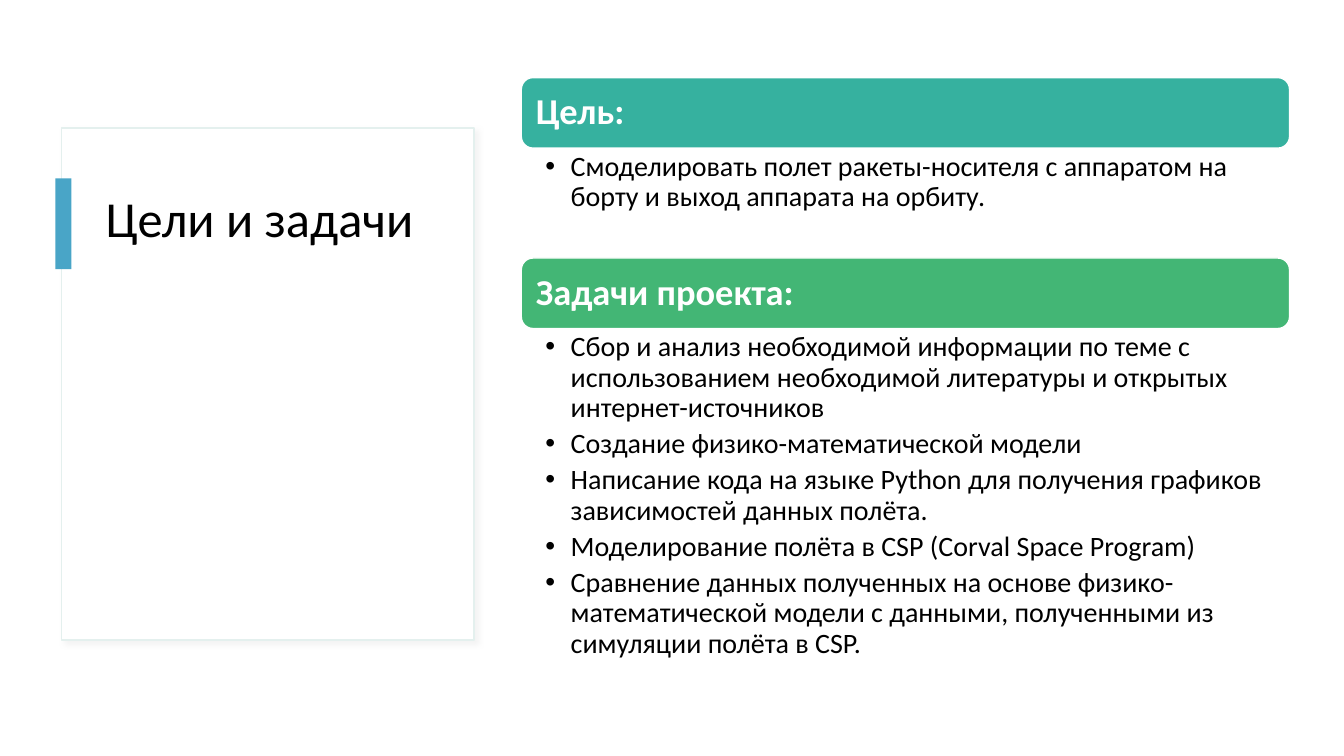
from dataclasses import dataclass

from lxml.etree import SubElement
from pptx import Presentation
from pptx.dml.color import RGBColor
from pptx.enum.shapes import MSO_SHAPE as SHAPE
from pptx.enum.text import MSO_ANCHOR as ANCHOR, PP_ALIGN as ALIGN
from pptx.oxml.ns import qn
from pptx.shapes.autoshape import Shape
from pptx.slide import Slide
from pptx.text.text import TextFrame
from pptx.util import Inches, Pt

FONT = "Calibri"
COLORS = {
    "white": "FFFFFF",
    "black": "000000",
    "card_line": "E4F0EE",
    "shadow": "D9D9D9",
    "accent": "49A5C7",
    "goal": "36B19F",
    "tasks": "43B675",
}
SECTION_LEFT, SECTION_WIDTH, HEADER_HEIGHT = 5.17, 7.62, 0.7


@dataclass
class Section:
    header: str
    color: str
    top: float
    body_height: float
    items: list[str]


SECTIONS = [
    Section("Цель:", "goal", 0.77, 1.09, [
        "Смоделировать полет ракеты-носителя с аппаратом на борту и выход аппарата на орбиту.",
    ]),
    Section("Задачи проекта:", "tasks", 2.56, 3.47, [
        "Сбор и анализ необходимой информации по теме c использованием необходимой "
        "литературы и открытых интернет-источников",
        "Создание физико-математической модели",
        "Написание кода на языке Python для получения графиков зависимостей данных полёта.",
        "Моделирование полёта в CSP (Corval Space Program)",
        "Сравнение данных полученных на основе физико-математической модели с данными, "
        "полученными из симуляции полёта в CSP.",
    ]),
]


def rgb(name: str) -> RGBColor:
    return RGBColor.from_string(COLORS[name])


def add_box(s: Slide, kind: SHAPE, left: float, top: float, width: float, height: float,
            fill: str, line: str | None = None) -> Shape:
    sp = s.shapes.add_shape(kind, Inches(left), Inches(top), Inches(width), Inches(height))
    sp.shadow.inherit = False
    sp.fill.solid()
    sp.fill.fore_color.rgb = rgb(fill)
    if line:
        sp.line.color.rgb = rgb(line)
        sp.line.width = Pt(1)
    else:
        sp.line.fill.background()
    return sp


def add_soft_shadow(sp: Shape) -> None:
    effects = sp._element.spPr.find(qn("a:effectLst"))
    shadow = SubElement(effects, qn("a:outerShdw"), blurRad=str(Pt(4)), dist=str(Pt(3)),
                        dir=str(45 * 60000), algn="tl", rotWithShape="0")
    color = SubElement(shadow, qn("a:srgbClr"), val=COLORS["shadow"])
    SubElement(color, qn("a:alpha"), val="30000")


def add_text_box(s: Slide, left: float, top: float, width: float, height: float) -> TextFrame:
    tb = s.shapes.add_textbox(Inches(left), Inches(top), Inches(width), Inches(height))
    tb.text_frame.word_wrap = True
    return tb.text_frame


def set_margins(tf: TextFrame, left: float, right: float, vertical: float) -> None:
    tf.margin_left, tf.margin_right = Inches(left), Inches(right)
    tf.margin_top = tf.margin_bottom = Inches(vertical)


def write(tf: TextFrame, lines: list[str], size: int, color: str, bold: bool = False) -> None:
    """Fill the frame with one left-aligned paragraph per line."""
    tf.text = "\n".join(lines)
    for p in tf.paragraphs:
        p.alignment = ALIGN.LEFT
        p.line_spacing = 0.9
        for r in p.runs:
            r.font.name = FONT
            r.font.size = Pt(size)
            r.font.bold = bold
            r.font.color.rgb = rgb(color)


def add_bullets(tf: TextFrame) -> None:
    for p in tf.paragraphs:
        p.space_after = Pt(4.3)
        pPr = p._p.get_or_add_pPr()
        pPr.set("marL", str(Inches(0.25)))
        pPr.set("indent", str(Inches(-0.25)))
        SubElement(pPr, qn("a:buFont"), typeface="Arial")
        SubElement(pPr, qn("a:buChar"), char="•")


def add_section(s: Slide, section: Section) -> None:
    header = add_box(s, SHAPE.ROUNDED_RECTANGLE, SECTION_LEFT, section.top, SECTION_WIDTH,
                     HEADER_HEIGHT, section.color, "white")
    tf = header.text_frame
    tf.vertical_anchor = ANCHOR.MIDDLE
    set_margins(tf, 0.11, 0.11, 0.11)
    write(tf, [section.header], 26, "white", bold=True)

    tf = add_text_box(s, SECTION_LEFT, section.top + HEADER_HEIGHT, SECTION_WIDTH,
                      section.body_height)
    set_margins(tf, 0.24, 0.2, 0.04)
    write(tf, section.items, 20, "black")
    add_bullets(tf)


def main() -> None:
    prs = Presentation()
    prs.slide_width, prs.slide_height = Inches(13.33), Inches(7.5)
    s = prs.slides.add_slide(prs.slide_layouts[6])

    card = add_box(s, SHAPE.RECTANGLE, 0.61, 1.27, 4.09, 5.08, "white", "card_line")
    add_soft_shadow(card)
    write(add_text_box(s, 0.95, 1.88, 3.39, 3.85), ["Цели и задачи"], 36, "black")
    add_box(s, SHAPE.RECTANGLE, 0.55, 1.77, 0.16, 0.9, "accent")

    for section in SECTIONS:
        add_section(s, section)
    prs.save("out.pptx")


if __name__ == "__main__":
    main()
